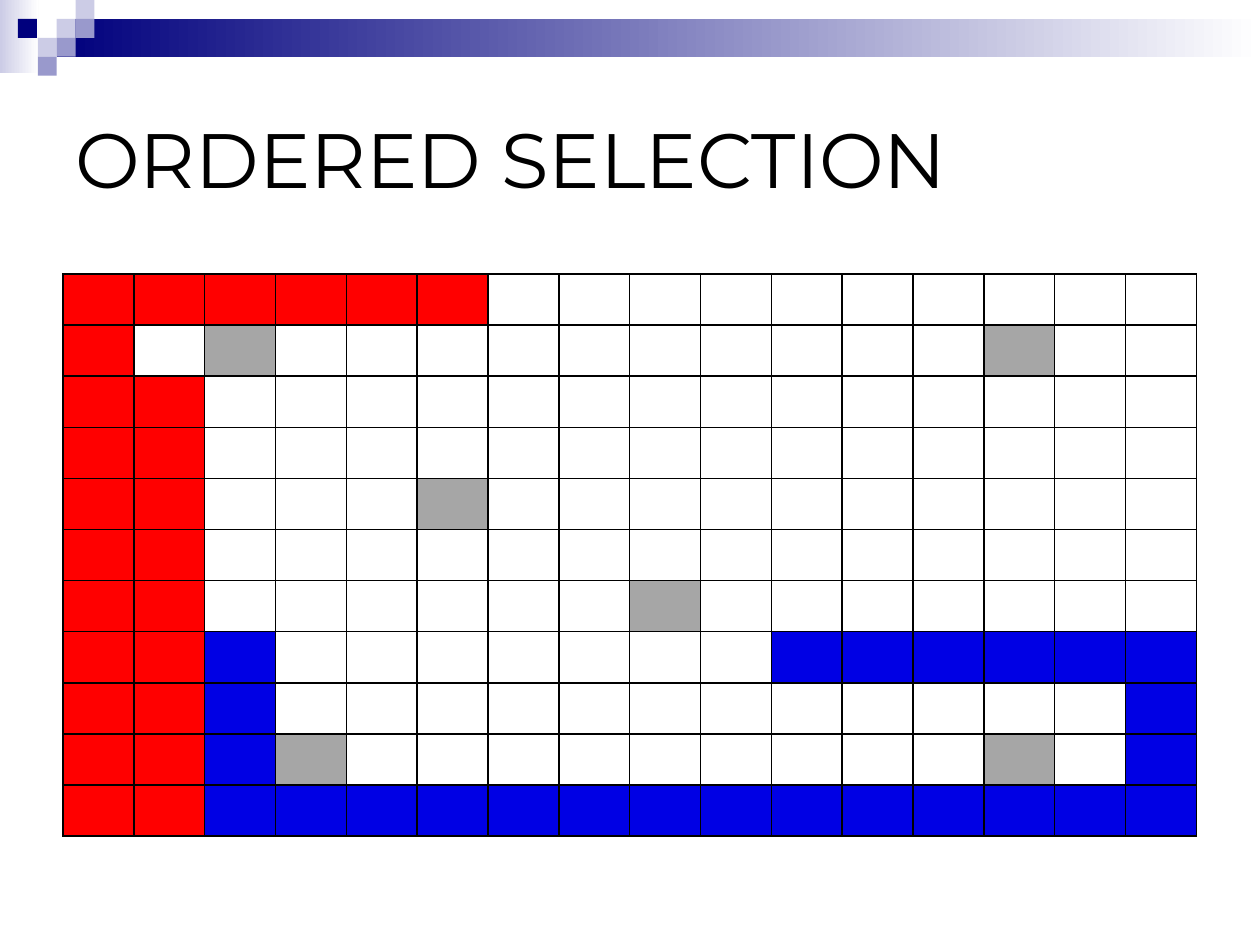
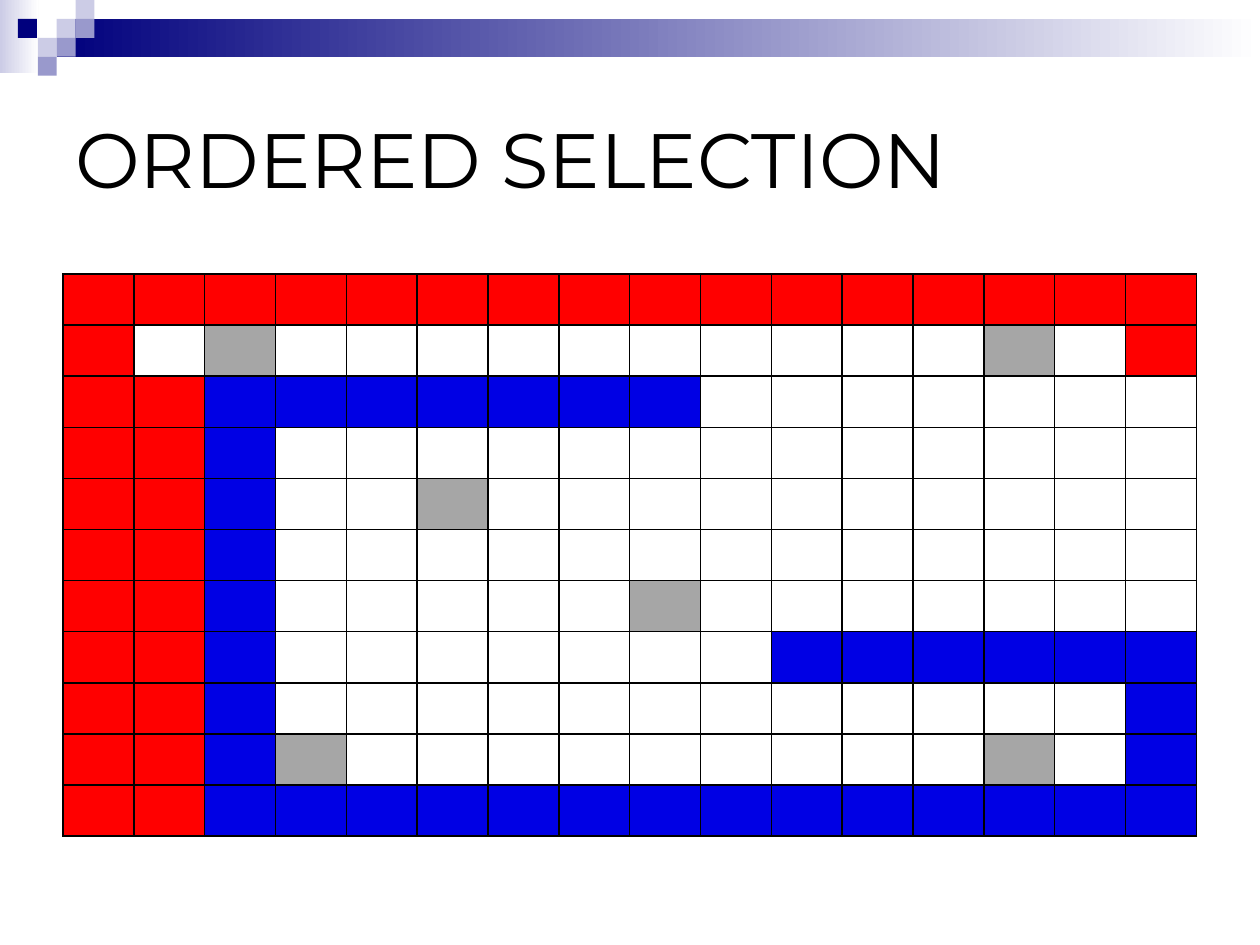
from dataclasses import dataclass

from lxml.etree import SubElement
from pptx import Presentation
from pptx.dml.color import RGBColor as Color
from pptx.enum.shapes import MSO_SHAPE as Preset
from pptx.enum.text import MSO_ANCHOR as Anchor
from pptx.oxml.ns import qn
from pptx.util import Inches, Pt


@dataclass(frozen=True)
class Theme:
    font: str = "Montserrat"
    title_size: int = 44
    cell_size: int = 12
    border_width: int = 1
    black: str = "000000"
    white: str = "FFFFFF"
    navy: str = "00007D"
    lilac: str = "CCCCE6"
    lavender: str = "9999CC"
    red: str = "FF0000"
    blue: str = "0000E4"
    grey: str = "A6A6A6"


theme = Theme()
presentation = Presentation()
presentation.slide_width = Inches(10)
presentation.slide_height = Inches(7.5)
width, height = presentation.slide_width, presentation.slide_height
unit = width * 0.015
margin = width * 0.05
column_count, row_count = 16, 11

band_blocks = [
    (0, 0, 2.05, 3.85, theme.lilac, True),
    (3, 1, 63.67, 2, theme.navy, True),
    (3, 1, 1, 1, theme.lilac, False),
    (4, 0, 1, 1, theme.lilac, False),
    (4, 1, 1, 1, theme.lavender, False),
    (2, 2, 1, 1, theme.lilac, False),
    (0.95, 1, 1, 1, theme.navy, False),
    (3, 2, 1, 1, theme.lavender, False),
    (2, 3, 1, 1, theme.lavender, False),
]

obstacles = [
    (row, column, 1, 1, theme.grey)
    for row, column in [(1, 2), (1, 13), (4, 5), (6, 8), (9, 3), (9, 13)]
]
first_selection = obstacles + [
    (0, 0, 1, 6, theme.red),
    (1, 0, 1, 1, theme.red),
    (2, 0, 9, 2, theme.red),
    (7, 2, 4, 1, theme.blue),
    (10, 2, 1, 14, theme.blue),
    (7, 15, 4, 1, theme.blue),
    (7, 10, 1, 6, theme.blue),
]
second_selection = first_selection + [
    (0, 6, 1, 10, theme.red),
    (1, 15, 1, 1, theme.red),
    (2, 2, 5, 1, theme.blue),
    (2, 2, 1, 7, theme.blue),
]


def add_block(slide, column, row, columns, rows, colour, fades):
    shape = slide.shapes.add_shape(
        Preset.RECTANGLE,
        *(int(unit * length) for length in (column, row, columns, rows)),
    )
    shape.shadow.inherit = False
    shape.line.fill.background()
    if fades:
        shape.fill.gradient()
        shape.fill.gradient_angle = 0
        for stop, stop_colour in zip(shape.fill.gradient_stops, (colour, theme.white)):
            stop.color.rgb = Color.from_string(stop_colour)
    else:
        shape.fill.solid()
        shape.fill.fore_color.rgb = Color.from_string(colour)


def style_cell(cell, colour):
    cell.margin_top = cell.margin_bottom = 0
    cell.text_frame.paragraphs[0].font.size = Pt(theme.cell_size)
    properties = cell._tc.get_or_add_tcPr()
    for side in ("a:lnL", "a:lnR", "a:lnT", "a:lnB"):
        border = SubElement(properties, qn(side), w=str(Pt(theme.border_width)))
        border_fill = SubElement(border, qn("a:solidFill"))
        SubElement(border_fill, qn("a:srgbClr"), val=theme.black)
    cell.fill.solid()
    cell.fill.fore_color.rgb = Color.from_string(colour)


for selection in (first_selection, second_selection):
    slide = presentation.slides.add_slide(presentation.slide_layouts[6])
    for block in band_blocks:
        add_block(slide, *block)

    title = slide.shapes.add_textbox(
        int(margin), int(margin), int(width - 2 * margin), int(height * 0.2)
    )
    title.text_frame.word_wrap = True
    title.text_frame.vertical_anchor = Anchor.MIDDLE
    paragraph = title.text_frame.paragraphs[0]
    paragraph.text = "ORDERED SELECTION"
    paragraph.font.name = theme.font
    paragraph.font.size = Pt(theme.title_size)
    paragraph.font.color.rgb = Color.from_string(theme.black)

    table = slide.shapes.add_table(
        row_count,
        column_count,
        int(margin),
        int(height * 0.29),
        int(width - 2 * margin),
        int(height * 0.595),
    ).table
    table.first_row = table.horz_banding = False

    colours = {}
    for top, left, rows, columns, colour in selection:
        for row in range(top, top + rows):
            for column in range(left, left + columns):
                colours[row, column] = colour
    for row in range(row_count):
        for column in range(column_count):
            style_cell(table.cell(row, column), colours.get((row, column), theme.white))

presentation.save("out.pptx")
